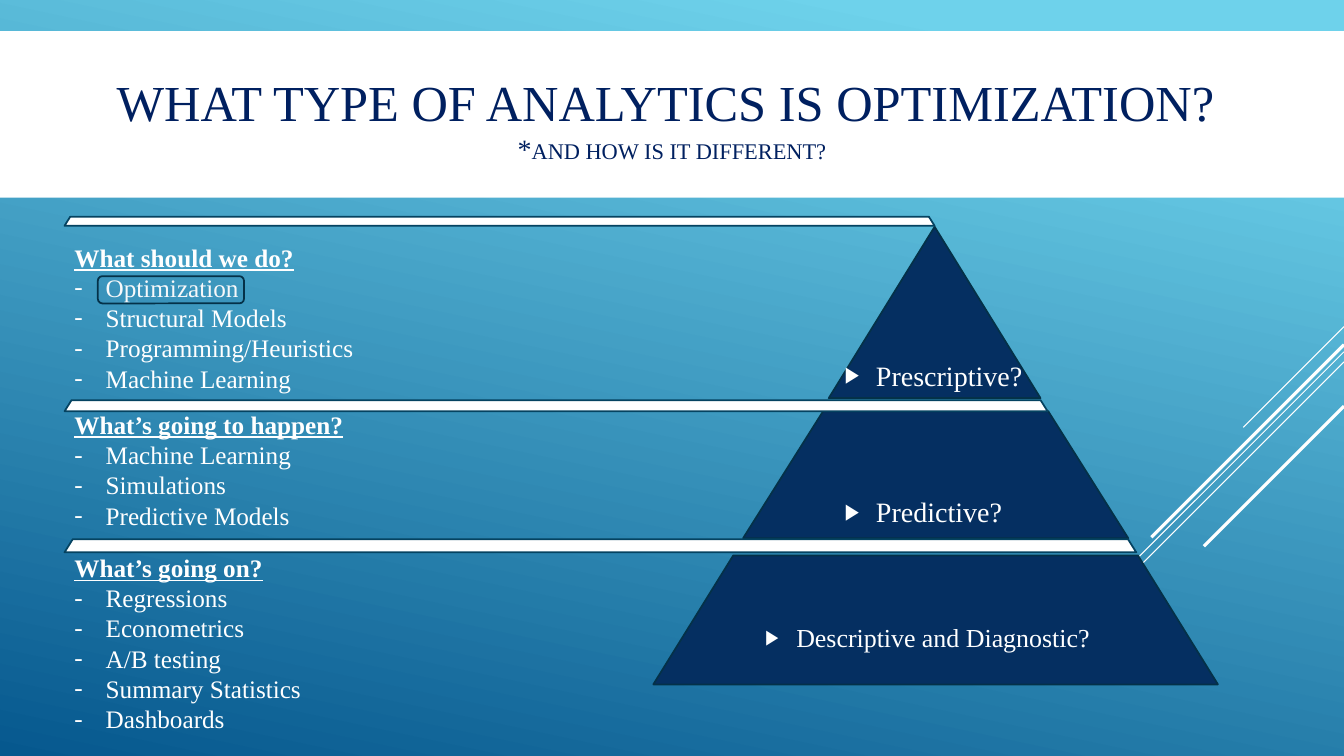
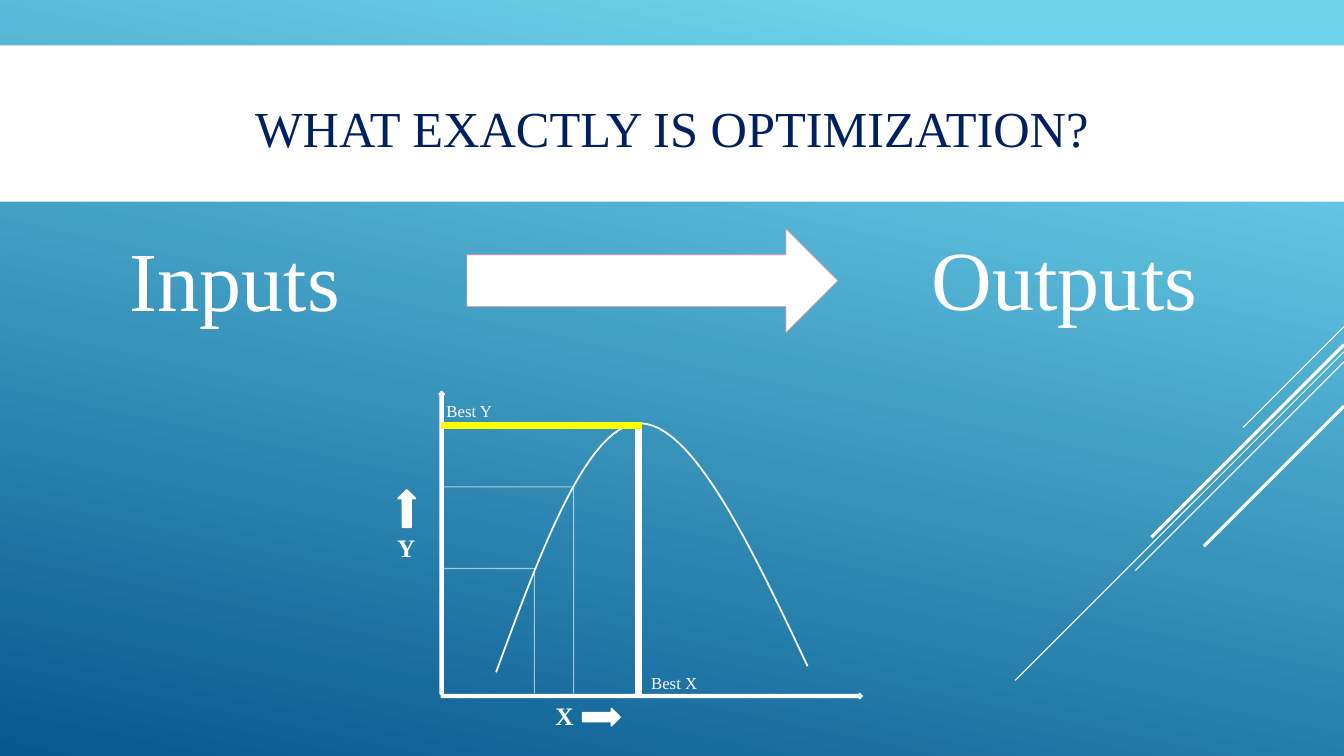
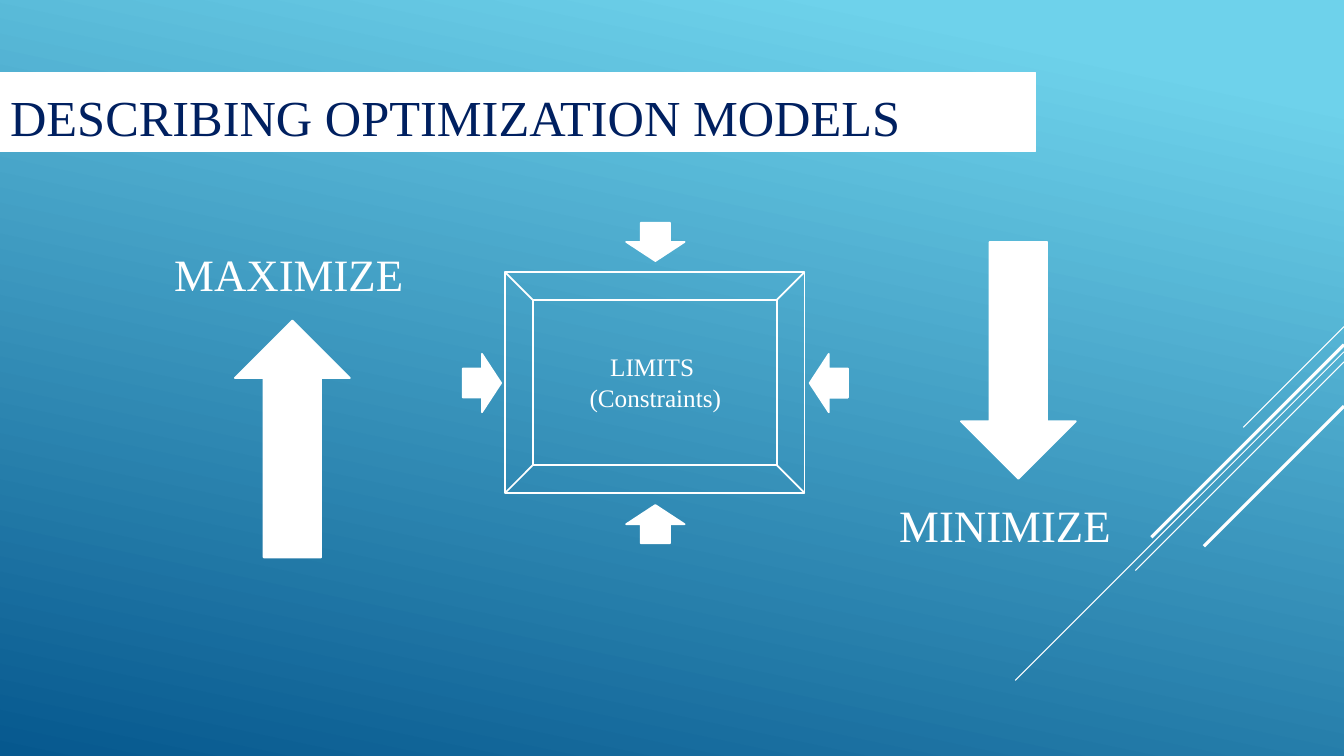
from dataclasses import dataclass

from pptx import Presentation
from pptx.dml.color import RGBColor
from pptx.enum.shapes import MSO_CONNECTOR, MSO_SHAPE
from pptx.enum.text import MSO_ANCHOR, MSO_AUTO_SIZE, PP_ALIGN
from pptx.oxml.ns import qn
from pptx.oxml.xmlchemy import OxmlElement
from pptx.util import Pt

PX = 9144  # EMU per px, 100 px to the inch
SLIDE_WIDTH, SLIDE_HEIGHT = 1333, 750
TITLE_ONLY = 5
BULLET_INDENT = 31


@dataclass(frozen=True)
class Theme:
    font: str = "Times New Roman"
    white: str = "FFFFFF"
    title: str = "002060"
    sky: str = "6ED2EB"
    deep: str = "06588E"
    navy: str = "052F61"
    navy_edge: str = "043148"
    bar_edge: str = "054361"
    pink: str = "D68BA6"
    yellow: str = "FFFF00"
    title_size: float = 36
    star_size: float = 20
    subtitle_size: float = 16
    hero_size: float = 60
    goal_size: float = 32
    tier_size: float = 20
    base_tier_size: float = 18.5
    text_size: float = 18
    label_size: float = 12
    hairline: float = 0.75
    outline: float = 1.25
    thick: float = 2.25


THEME = Theme()


# Basic helpers

def emu(*lengths):
    return [round(length * PX) for length in lengths]


def color(value):
    return RGBColor.from_string(value)


def set_alpha(parent, percent):
    alpha = OxmlElement("a:alpha")
    alpha.set("val", str(percent * 1000))
    next(parent.iter(qn("a:srgbClr"))).append(alpha)


def set_line(shape, line_color, width, alpha=None):
    shape.line.color.rgb = color(line_color)
    shape.line.width = Pt(width)
    if alpha:
        set_alpha(shape.element.spPr.find(qn("a:ln")), alpha)


def add_run(paragraph, text, size, text_color=THEME.white, strong=False, underline=False):
    run = paragraph.add_run()
    run.text = text
    font = run.font
    font.name, font.size = THEME.font, Pt(size)
    font.color.rgb = color(text_color)
    font.bold, font.underline = strong, underline


def add_bullet(paragraph, character, percent=100):
    properties = paragraph._p.get_or_add_pPr()
    properties.set("marL", str(BULLET_INDENT * PX))
    properties.set("indent", str(-BULLET_INDENT * PX))
    for tag, name, value in (("a:buSzPct", "val", str(percent * 1000)),
                             ("a:buFont", "typeface", THEME.font),
                             ("a:buChar", "char", character)):
        element = OxmlElement(tag)
        element.set(name, value)
        properties.append(element)


# Kinds of element

def add_line(slide, start, end, width=THEME.hairline, alpha=None):
    line = slide.shapes.add_connector(MSO_CONNECTOR.STRAIGHT, *emu(*start, *end))
    set_line(line, THEME.white, width, alpha)
    line.element.spPr.append(OxmlElement("a:effectLst"))


def add_figure(slide, kind, box, fill=THEME.white, edge=THEME.white,
               width=THEME.outline, edge_alpha=None, rotation=0, adjust=None):
    shape = slide.shapes.add_shape(kind, *emu(*box))
    shape.shadow.inherit = False
    if fill:
        shape.fill.solid()
        shape.fill.fore_color.rgb = color(fill)
    else:
        shape.fill.background()
    set_line(shape, edge, width, edge_alpha)
    shape.rotation = rotation
    if adjust:
        shape.adjustments[0] = adjust
    return shape


def add_text_frame(slide, box):
    frame = slide.shapes.add_textbox(*emu(*box)).text_frame
    frame.word_wrap = True
    return frame


def add_label(slide, box, lines, size, align=PP_ALIGN.LEFT, strong=False):
    frame = add_text_frame(slide, box)
    frame.auto_size = MSO_AUTO_SIZE.SHAPE_TO_FIT_TEXT
    for index, text in enumerate(lines):
        paragraph = frame.add_paragraph() if index else frame.paragraphs[0]
        paragraph.alignment = align
        add_run(paragraph, text, size, strong=strong)


def add_body(slide, box, text, size, bulleted=False):
    frame = add_text_frame(slide, box)
    frame.vertical_anchor = MSO_ANCHOR.MIDDLE
    paragraph = frame.paragraphs[0]
    paragraph.space_before, paragraph.space_after = Pt(size * 0.2), Pt(6)
    if bulleted:
        add_bullet(paragraph, "▶", 80)
    add_run(paragraph, text, size)


def add_question(slide, box, question, methods):
    frame = add_text_frame(slide, box)
    frame.auto_size = MSO_AUTO_SIZE.SHAPE_TO_FIT_TEXT
    add_run(frame.paragraphs[0], question, THEME.text_size, strong=True, underline=True)
    for method in methods:
        paragraph = frame.add_paragraph()
        add_bullet(paragraph, "-")
        add_run(paragraph, method, THEME.text_size)


def add_curve(slide, start, cubics):
    """Draw an open curve through cubic segments (control, control, end)."""
    steps, points, origin = 24, [], start
    for segment in cubics:
        corners = (origin, *segment)
        for step in range(1, steps + 1):
            t = step / steps
            weights = ((1 - t) ** 3, 3 * t * (1 - t) ** 2, 3 * t * t * (1 - t), t ** 3)
            points.append(emu(*(sum(w * corner[axis] for w, corner in zip(weights, corners))
                                for axis in (0, 1))))
        origin = segment[-1]
    builder = slide.shapes.build_freeform(*emu(*start))
    builder.add_line_segments(points, close=False)
    curve = builder.convert_to_shape()
    curve.shadow.inherit = False
    curve.fill.background()
    set_line(curve, THEME.white, THEME.outline)


# Shared look

def set_background(presentation):
    fill = presentation.slide_master.background.fill
    fill.gradient()
    fill.gradient_angle = 360 - 102
    for stop, position, value in zip(fill.gradient_stops, (0.1, 1), (THEME.sky, THEME.deep)):
        stop.position = position
        stop.color.rgb = color(value)


def add_rays(slide):
    """Draw the diagonal lines that run down from the right edge at 45 degrees."""
    for top, reach, width in ((324, 100, THEME.hairline), (349, 326, THEME.hairline),
                              (359, 207, THEME.hairline), (342, 191, THEME.thick),
                              (403, 139, THEME.thick)):
        add_line(slide, (SLIDE_WIDTH, top), (SLIDE_WIDTH - reach, top + reach), width)


def add_titled_slide(presentation, text, box, align=PP_ALIGN.CENTER):
    slide = presentation.slides.add_slide(presentation.slide_layouts[TITLE_ONLY])
    title = slide.shapes.title
    title.left, title.top, title.width, title.height = emu(*box)
    title.fill.solid()
    title.fill.fore_color.rgb = color(THEME.white)
    frame = title.text_frame
    frame.word_wrap, frame.auto_size = True, MSO_AUTO_SIZE.NONE
    frame.vertical_anchor = MSO_ANCHOR.MIDDLE
    frame.margin_top, frame.margin_bottom = emu(10, 2)
    frame.paragraphs[0].alignment = align
    add_run(frame.paragraphs[0], text, THEME.title_size, THEME.title)
    add_rays(slide)
    return slide


# Slides

def build_analytics_types(presentation):
    slide = add_titled_slide(presentation, "WHAT TYPE OF ANALYTICS IS OPTIMIZATION? ",
                             (0, 31, SLIDE_WIDTH, 165))
    heading = slide.shapes.title.text_frame.paragraphs[0]
    heading.add_line_break()
    add_run(heading, "*", THEME.star_size, THEME.title)
    add_run(heading, "AND HOW IS IT DIFFERENT?", THEME.subtitle_size, THEME.title)

    # Pyramid
    for kind, box, adjust in ((MSO_SHAPE.ISOSCELES_TRIANGLE, (822, 225, 210, 170), None),
                              (MSO_SHAPE.TRAPEZOID, (737, 408, 382, 126), 0.63),
                              (MSO_SHAPE.TRAPEZOID, (648, 551, 560, 128), 0.62)):
        add_figure(slide, kind, box, THEME.navy, THEME.navy_edge, adjust=adjust)
    for box, text, size in (
            ((749, 606, 356, 53), "Descriptive and Diagnostic?", THEME.base_tier_size),
            ((828, 481, 197, 53), "Predictive?", THEME.tier_size),
            ((828, 351, 197, 42), "Prescriptive?", THEME.tier_size)):
        add_body(slide, box, text, size, bulleted=True)

    # Divider bars
    for top, width, height in ((397, 975, 11), (535, 1063, 13), (215, 863, 9)):
        add_figure(slide, MSO_SHAPE.TRAPEZOID, (64, top, width, height),
                   edge=THEME.bar_edge, adjust=0.63)

    # Questions and methods
    add_question(slide, (64, 235, 300, 162), "What should we do?",
                 ("Optimization", "Structural Models", "Programming/Heuristics",
                  "Machine Learning"))
    add_question(slide, (64, 401, 300, 131), "What’s going to happen?",
                 ("Machine Learning", "Simulations", "Predictive Models"))
    add_question(slide, (64, 543, 273, 192), "What’s going on?",
                 ("Regressions", "Econometrics", "A/B testing", "Summary Statistics",
                  "Dashboards"))
    highlight = add_figure(slide, MSO_SHAPE.ROUNDED_RECTANGLE, (97, 274, 145, 27),
                           THEME.navy, THEME.navy_edge)
    set_alpha(highlight.element.spPr.find(qn("a:solidFill")), 3)


def build_optimization(presentation):
    slide = add_titled_slide(presentation, "WHAT EXACTLY IS OPTIMIZATION?",
                             (0, 45, SLIDE_WIDTH, 155))
    add_body(slide, (119, 227, 260, 97), "Inputs", THEME.hero_size)
    add_body(slide, (914, 226, 291, 97), "Outputs", THEME.hero_size)
    add_figure(slide, MSO_SHAPE.RIGHT_ARROW, (463, 227, 368, 103), edge=THEME.pink,
               width=THEME.hairline, edge_alpha=60)

    # Axes and curve
    add_figure(slide, MSO_SHAPE.RIGHT_ARROW, (438, 688, 417, 5))
    add_figure(slide, MSO_SHAPE.RIGHT_ARROW, (288, 536, 300, 5), rotation=270)
    add_curve(slide, (492, 667), (((537, 544), (583, 421), (634, 420)),
                                  ((686, 419), (744, 540), (801, 661))))

    # Axis names with direction arrows
    for name, box, arrow_box, rotation in (
            ("X", (541, 690, 38, 40), (578, 703, 37, 17), 0),
            ("Y", (384, 523, 38, 40), (385, 496, 37, 17), 270)):
        add_label(slide, box, (name,), THEME.text_size, strong=True)
        add_figure(slide, MSO_SHAPE.RIGHT_ARROW, arrow_box, rotation=rotation)

    # Guides to two lesser points
    for x, y in ((530, 564), (569, 483)):
        add_line(slide, (x, 688), (x, y), alpha=60)
        add_line(slide, (x, y), (438, y), alpha=60)

    # Best point
    add_figure(slide, MSO_SHAPE.RECTANGLE, (631, 420, 5, 270))
    add_figure(slide, MSO_SHAPE.RECTANGLE, (438, 420, 198, 5), THEME.yellow, THEME.yellow)
    add_label(slide, (636, 662, 76, 30), ("Best X",), THEME.label_size)
    add_label(slide, (433, 393, 76, 30), ("Best Y",), THEME.label_size)


def build_models(presentation):
    slide = add_titled_slide(presentation, "DESCRIBING OPTIMIZATION MODELS",
                             (0, 72, 1027, 78), PP_ALIGN.LEFT)
    set_line(slide.shapes.title, THEME.white, THEME.hairline)

    # Goals
    for text, text_box, arrow_box, rotation in (
            ("MAXIMIZE", (163, 240, 254, 64), (233, 318, 114, 235), 0),
            ("MINIMIZE", (882, 489, 254, 64), (953, 240, 114, 235), 180)):
        add_figure(slide, MSO_SHAPE.UP_ARROW, arrow_box, rotation=rotation)
        add_label(slide, text_box, (text,), THEME.goal_size)

    # Limits, pressed in from four sides
    add_figure(slide, MSO_SHAPE.BEVEL, (501, 270, 297, 219), fill=None)
    add_label(slide, (573, 344, 154, 71), ("LIMITS ", "(Constraints)"), THEME.text_size,
              PP_ALIGN.CENTER)
    center_x, center_y, width, height = 650, 380, 38, 58
    for shift_x, shift_y, rotation in ((-172, 0, 0), (172, 0, 180), (0, -140, 90), (0, 140, 270)):
        add_figure(slide, MSO_SHAPE.RIGHT_ARROW,
                   (center_x + shift_x - width // 2, center_y + shift_y - height // 2,
                    width, height), rotation=rotation)


def main():
    presentation = Presentation()
    presentation.slide_width, presentation.slide_height = emu(SLIDE_WIDTH, SLIDE_HEIGHT)
    set_background(presentation)
    build_analytics_types(presentation)
    build_optimization(presentation)
    build_models(presentation)
    presentation.save("out.pptx")


if __name__ == "__main__":
    main()
